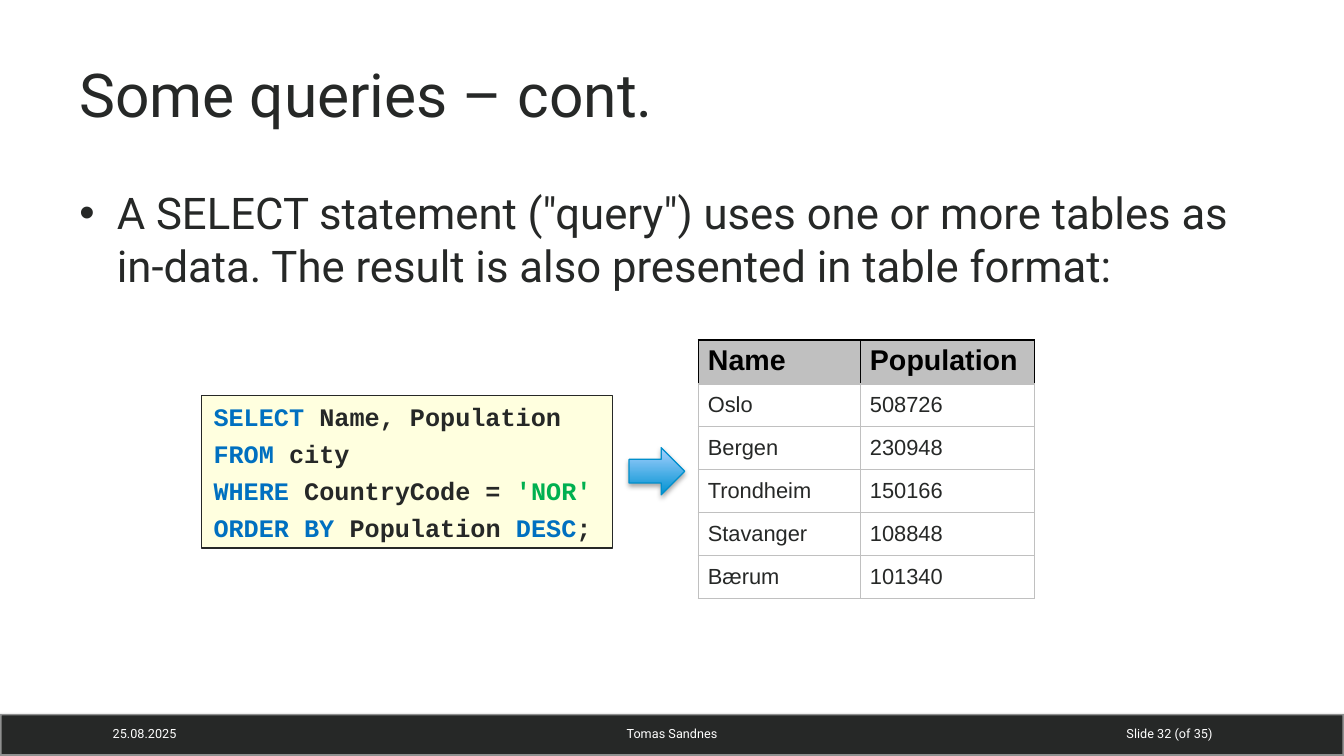
from dataclasses import dataclass

from lxml import etree
from pptx import Presentation
from pptx.dml.color import RGBColor
from pptx.enum.shapes import MSO_SHAPE
from pptx.enum.text import MSO_ANCHOR, MSO_AUTO_SIZE, PP_ALIGN
from pptx.oxml.ns import qn
from pptx.util import Inches, Pt

RECTANGLE, RIGHT_ARROW = MSO_SHAPE.RECTANGLE, MSO_SHAPE.RIGHT_ARROW
TOP, MIDDLE, BOTTOM = MSO_ANCHOR.TOP, MSO_ANCHOR.MIDDLE, MSO_ANCHOR.BOTTOM
LEFT, CENTER, RIGHT = PP_ALIGN.LEFT, PP_ALIGN.CENTER, PP_ALIGN.RIGHT
NO_AUTOFIT = MSO_AUTO_SIZE.NONE
WIDTH, HEIGHT = Inches(11.11), Inches(6.25)
COLUMNS, ROWS = 20, 24


@dataclass(frozen=True)
class Theme:
    ink: str = "262827"
    white: str = "FFFFFF"
    black: str = "000000"
    grid: str = "C0C0C0"
    bar_edge: str = "F9F9F9"
    code_fill: str = "FFFFDF"
    keyword: str = "0070C0"
    literal: str = "00B050"
    arrow_low: str = "0092D1"
    arrow_high: str = "A7D1FF"
    arrow_edge: str = "008FCC"
    main_font: str = "Roboto"
    table_font: str = "Arial"
    code_font: str = "Courier New"
    title_size: float = 36
    body_size: float = 26
    header_size: float = 17
    code_size: float = 15
    cell_size: float = 13
    footer_size: float = 7.5


THEME = Theme()

QUERY = [
    [("SELECT", THEME.keyword), (" Name, Population", THEME.ink)],
    [("FROM", THEME.keyword), (" city", THEME.ink)],
    [("WHERE ", THEME.keyword), ("CountryCode = ", THEME.ink), ("'NOR'", THEME.literal)],
    [("ORDER BY", THEME.keyword), (" Population ", THEME.ink),
     ("DESC", THEME.keyword), (";", THEME.ink)],
]
RESULT = [
    ("Name", "Population"),
    ("Oslo", "508726"),
    ("Bergen", "230948"),
    ("Trondheim", "150166"),
    ("Stavanger", "108848"),
    ("Bærum", "101340"),
]
FOOTERS = [
    (1.5, 4.66, "25.08.2025", LEFT),
    (7, 6, "Tomas Sandnes", CENTER),
    (14.82, 3.4, "Slide 32 (of 35)", RIGHT),
]


def grid(left, top, width, height):
    column, row = WIDTH / COLUMNS, HEIGHT / ROWS
    return int(left * column), int(top * row), int(width * column), int(height * row)


def place(shape, *cells):
    shape.left, shape.top, shape.width, shape.height = grid(*cells)


def write(frame, lines, *, size, font=THEME.main_font, color=THEME.ink, bold=False,
          align=LEFT, anchor=TOP, gap=0):
    frame.word_wrap = True
    frame.vertical_anchor = anchor
    if isinstance(lines, str):
        lines = [[(lines, color)]]
    for index, pieces in enumerate(lines):
        para = frame.add_paragraph() if index else frame.paragraphs[0]
        para.alignment = align
        para.space_before = Pt(gap if index else 0)
        for text, shade in pieces:
            span = para.add_run()
            span.text = text
            span.font.name = font
            span.font.size = Pt(size)
            span.font.bold = bold
            span.font.color.rgb = RGBColor.from_string(shade)


def add_bullet(para, indent):
    properties = para._p.get_or_add_pPr()
    properties.set("marL", str(indent))
    properties.set("indent", str(-indent))
    etree.SubElement(properties, qn("a:buFont")).set("typeface", THEME.table_font)
    etree.SubElement(properties, qn("a:buChar")).set("char", "•")


def add_alpha(color_element, percent):
    etree.SubElement(color_element, qn("a:alpha")).set("val", str(percent * 1000))


def add_block(page, kind, cells, fill, edge, weight):
    block = page.shapes.add_shape(kind, *grid(*cells))
    block.shadow.inherit = False
    block.fill.solid()
    block.fill.fore_color.rgb = RGBColor.from_string(fill)
    block.line.color.rgb = RGBColor.from_string(edge)
    block.line.width = Pt(weight)
    return block


def add_footer(page):
    bar = add_block(page, RECTANGLE, (0, 22.66, COLUMNS, 1.34), THEME.ink, THEME.bar_edge, 2)
    add_alpha(bar.line._ln.find(".//" + qn("a:srgbClr")), 50)
    for left, width, text, align in FOOTERS:
        box = page.shapes.add_textbox(*grid(left, 22.66, width, 1.27))
        write(box.text_frame, text, size=THEME.footer_size, color=THEME.white,
              align=align, anchor=MIDDLE)


def add_arrow(page):
    arrow = add_block(page, RIGHT_ARROW, (9.36, 14.21, 0.83, 1.5),
                      THEME.arrow_low, THEME.arrow_edge, 0.75)
    arrow.fill.gradient()
    arrow.fill.gradient_angle = 90
    for stop, color in zip(arrow.fill.gradient_stops, (THEME.arrow_low, THEME.arrow_high)):
        stop.color.rgb = RGBColor.from_string(color)
    effects = arrow._element.spPr.find(qn("a:effectLst"))
    shadow = etree.SubElement(effects, qn("a:outerShdw"), blurRad=str(Pt(3.1)),
                              dist=str(Pt(1.8)), dir="5400000", rotWithShape="0")
    shade = etree.SubElement(shadow, qn("a:srgbClr"), val=THEME.black)
    add_alpha(shade, 35)


def set_borders(cell, colors):
    properties = cell._tc.get_or_add_tcPr()
    for index, (side, color) in enumerate(zip(("lnL", "lnR", "lnT", "lnB"), colors)):
        line = etree.Element(qn("a:" + side), w=str(Pt(1)))
        fill = etree.SubElement(line, qn("a:solidFill"))
        etree.SubElement(fill, qn("a:srgbClr"), val=color)
        properties.insert(index, line)


def add_result(page):
    frame = page.shapes.add_table(len(RESULT), 2, *grid(10.39, 10.79, 5, 8.18))
    table = frame.table
    for column, width in zip(table.columns, (1.34, 1.44)):
        column.width = Inches(width)
    for row_index, record in enumerate(RESULT):
        header = row_index == 0
        for column_index, text in enumerate(record):
            cell = table.cell(row_index, column_index)
            cell.margin_left = cell.margin_right = Inches(0.08)
            cell.margin_top = cell.margin_bottom = Inches(0.04)
            cell.vertical_anchor = TOP if header else MIDDLE
            cell.fill.solid()
            cell.fill.fore_color.rgb = RGBColor.from_string(THEME.grid if header else THEME.white)
            edge = THEME.black if header else THEME.grid
            set_borders(cell, (edge, edge, edge, THEME.grid))
            write(cell.text_frame, text, font=THEME.table_font, bold=header,
                  size=THEME.header_size if header else THEME.cell_size,
                  color=THEME.black if header else THEME.ink,
                  anchor=cell.vertical_anchor)


def main():
    deck = Presentation()
    deck.slide_width, deck.slide_height = WIDTH, HEIGHT
    page = deck.slides.add_slide(deck.slide_layouts[1])
    title, body = page.placeholders
    add_footer(page)

    place(title, 1, 0.96, 18, 4)
    title.text_frame.auto_size = NO_AUTOFIT
    write(title.text_frame, "Some queries – cont.", size=THEME.title_size, anchor=MIDDLE)

    place(body, 1, 5.6, 18, 15.82)
    body.text_frame.auto_size = NO_AUTOFIT
    body.text_frame.margin_top = Inches(0.08)
    write(body.text_frame, 'A SELECT statement ("query") uses one or more tables as '
          "in-data. The result is also presented in table format:", size=THEME.body_size)
    add_bullet(body.text_frame.paragraphs[0], Inches(0.31))

    add_result(page)
    code = add_block(page, RECTANGLE, (3, 12.56, 6.12, 4.84), THEME.code_fill, THEME.ink, 0.75)
    write(code.text_frame, QUERY, size=THEME.code_size, font=THEME.code_font,
          bold=True, anchor=BOTTOM, gap=4)
    add_arrow(page)
    deck.save("out.pptx")


if __name__ == "__main__":
    main()
